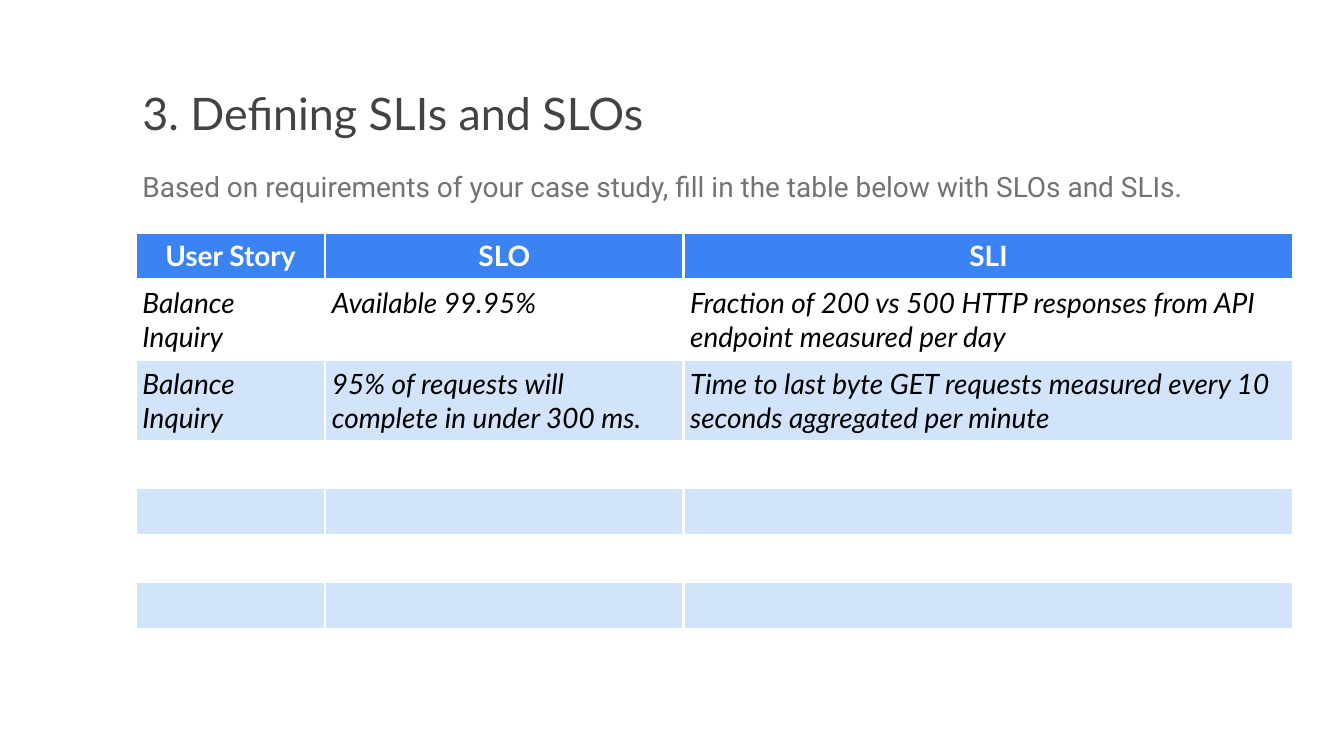
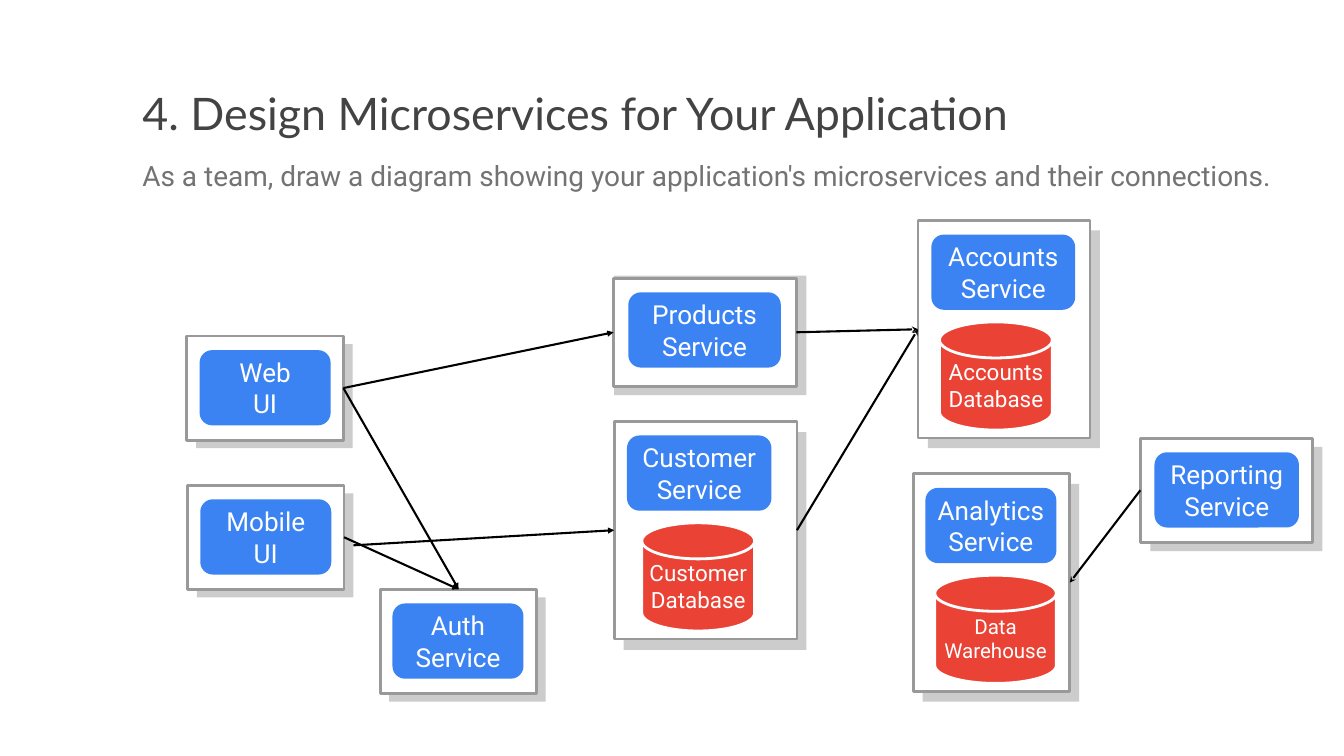
"""Builds two workshop slides: an SLI and SLO table and a microservice diagram."""
import lxml.etree
import pptx
import pptx.dml.color
import pptx.enum.shapes
import pptx.enum.text
import pptx.oxml.ns
import pptx.util

PX = 9144
BLUE, PALE_BLUE, RED, WHITE, BLACK = "3B83F3", "D2E3FC", "EA4335", "FFFFFF", "000000"
CARD_LINE, SHADOW, TITLE_GREY, BODY_GREY = "999999", "CCCCCC", "434343", "737373"
SHAPE = pptx.enum.shapes.MSO_SHAPE
CENTER = pptx.enum.text.PP_ALIGN.CENTER
qn = pptx.oxml.ns.qn
color = pptx.dml.color.RGBColor.from_string


def write(frame, text, size, face, hue, align=None):
    """Fill a text frame, one paragraph a line, in one font."""
    frame.text = text
    frame.word_wrap = True
    frame.margin_left = frame.margin_right = frame.margin_top = frame.margin_bottom = 10 * PX
    for para in frame.paragraphs:
        para.alignment = align
        para.font.size = pptx.util.Pt(size)
        para.font.name = face
        para.font.color.rgb = color(hue)


def add_block(page, kind, place, fill, line=None):
    """Add a flat shape with an optional 3 pt outline."""
    block = page.shapes.add_shape(kind, *(length * PX for length in place))
    block.shadow.inherit = False
    block.fill.solid()
    block.fill.fore_color.rgb = color(fill)
    if line:
        block.line.color.rgb = color(line)
        block.line.width = pptx.util.Pt(3)
    else:
        block.line.fill.background()
    return block


deck = pptx.Presentation()
deck.slide_width, deck.slide_height = 2000 * PX, 1125 * PX

headings = [
    ("3. Defining SLIs and SLOs",
     "Based on requirements of your case study, fill in the table below with SLOs and SLIs.",
     (202, 235, 1709, 74)),
    ("4. Design Microservices for Your Application",
     "As a team, draw a diagram showing your application's microservices and their connections.",
     (202, 219, 1732, 81)),
]
pages = []
for title, intro, intro_place in headings:
    page = deck.slides.add_slide(deck.slide_layouts[6])
    pages.append(page)
    box = page.shapes.add_textbox(202 * PX, 118 * PX, 1598 * PX, 118 * PX)
    write(box.text_frame, title, 48, "Lato", TITLE_GREY)
    box = page.shapes.add_textbox(*(length * PX for length in intro_place))
    write(box.text_frame, intro, 30, "Roboto", BODY_GREY)
    para = box.text_frame.paragraphs[0]
    para.line_spacing = 1.15
    para.space_after = pptx.util.Pt(16)
table_page, diagram_page = pages

rows = [
    ("User Story", "SLO", "SLI"),
    ("Balance Inquiry", "Available 99.95%",
     "Fraction of 200 vs 500 HTTP responses from API endpoint measured per day"),
    ("Balance Inquiry", "95% of requests will complete in under 300 ms.",
     "Time to last byte GET requests measured every 10 seconds aggregated per minute"),
] + [("", "", "")] * 5
column_widths = [282, 533, 908]
row_heights = [70, 120, 120] + [70] * 5
table = table_page.shapes.add_table(
    len(rows), len(column_widths), 202 * PX, 346 * PX,
    sum(column_widths) * PX, sum(row_heights) * PX).table
for column, width in zip(table.columns, column_widths):
    column.width = width * PX
for r, (texts, height) in enumerate(zip(rows, row_heights)):
    table.rows[r].height = height * PX
    for c, text in enumerate(texts):
        cell = table.cell(r, c)
        header = r == 0
        write(cell.text_frame, text, 30, "Lato", WHITE if header else BLACK,
              CENTER if header else None)
        cell.margin_left = cell.margin_right = cell.margin_top = cell.margin_bottom = 10 * PX
        font = cell.text_frame.paragraphs[0].font
        font.bold, font.italic = header, not header
        properties = cell._tc.get_or_add_tcPr()
        for side in ("a:lnL", "a:lnR", "a:lnT", "a:lnB"):
            border = lxml.etree.SubElement(properties, qn(side), w=str(pptx.util.Pt(3)))
            solid = lxml.etree.SubElement(border, qn("a:solidFill"))
            lxml.etree.SubElement(solid, qn("a:srgbClr"), val=WHITE)
        if r % 2:
            cell.fill.background()
        else:
            cell.fill.solid()
            cell.fill.fore_color.rgb = color(BLUE if header else PALE_BLUE)

# name: card place, shadow place, service left and width
services = {
    "Web\nUI": ((278, 500, 233, 155), (292, 512, 233, 155), 297, 195),
    "Mobile\nUI": ((279, 722, 233, 155), (293, 734, 233, 155), 298, 195),
    "Auth\nService": ((566, 877, 233, 155), (579, 889, 233, 155), 584, 195),
    "Products\nService": ((913, 414, 272, 161), (914, 410, 286, 178), 935, 227),
    "Accounts\nService": ((1366, 328, 256, 324), (1381, 343, 256, 324), 1386, 214),
    "Analytics\nService": ((1359, 705, 233, 324), (1373, 720, 233, 324), 1377, 195),
    "Customer\nService": ((914, 627, 272, 324), (928, 643, 272, 324), 933, 215),
    "Reporting Service": ((1697, 652, 256, 155), (1712, 665, 256, 155), 1718, 215),
}
cards, shadows = {}, {}
for name, (card_place, shadow_place, left, width) in services.items():
    key = name.split()[0]
    shadows[key] = add_block(diagram_page, SHAPE.RECTANGLE, shadow_place, SHADOW)
    cards[key] = add_block(diagram_page, SHAPE.RECTANGLE, card_place, WHITE, CARD_LINE)
    service = add_block(diagram_page, SHAPE.ROUNDED_RECTANGLE,
                        (left, card_place[1] + 21, width, 112), BLUE)
    write(service.text_frame, name, 28, "Roboto", WHITE, CENTER)

databases = [
    ("Accounts\nDatabase", 1398, 479, 168, 24),
    ("Data Warehouse", 1391, 856, 181, 22),
    ("Customer\nDatabase", 955, 778, 168, 24),
]
for name, left, top, width, size in databases:
    disk = add_block(diagram_page, SHAPE.FLOWCHART_MAGNETIC_DISK,
                     (left, top, width, 161), RED, WHITE)
    write(disk.text_frame, name, size, "Roboto", WHITE, CENTER)

TOP, LEFT, RIGHT = 0, 1, 3
links = [
    (cards["Web"], RIGHT, cards["Auth"], TOP, "triangle"),
    (cards["Mobile"], RIGHT, cards["Auth"], TOP, "triangle"),
    (cards["Web"], RIGHT, cards["Products"], LEFT, "triangle"),
    (shadows["Mobile"], RIGHT, cards["Customer"], LEFT, "triangle"),
    (cards["Products"], RIGHT, cards["Accounts"], LEFT, "stealth"),
    (cards["Customer"], RIGHT, cards["Accounts"], LEFT, "stealth"),
    (cards["Reporting"], LEFT, cards["Analytics"], RIGHT, "stealth"),
]
for start, start_site, end, end_site, arrowhead in links:
    link = diagram_page.shapes.add_connector(
        pptx.enum.shapes.MSO_CONNECTOR.STRAIGHT, 0, 0, 0, 0)
    link.begin_connect(start, start_site)
    link.end_connect(end, end_site)
    link.line.color.rgb = color(BLACK)
    link.line.width = pptx.util.Pt(2.25)
    lxml.etree.SubElement(link.line._get_or_add_ln(), qn("a:tailEnd"), type=arrowhead)
    lxml.etree.SubElement(link._element.spPr, qn("a:effectLst"))

deck.save("out.pptx")
